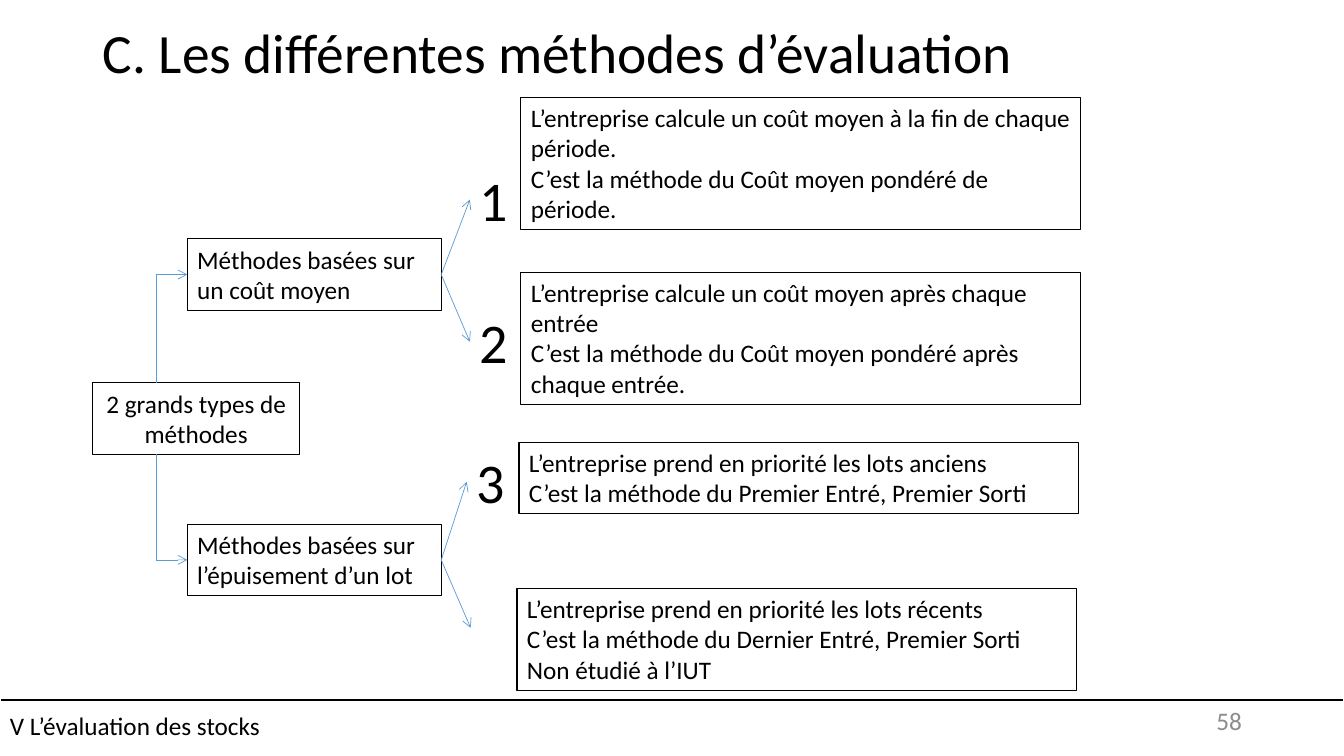
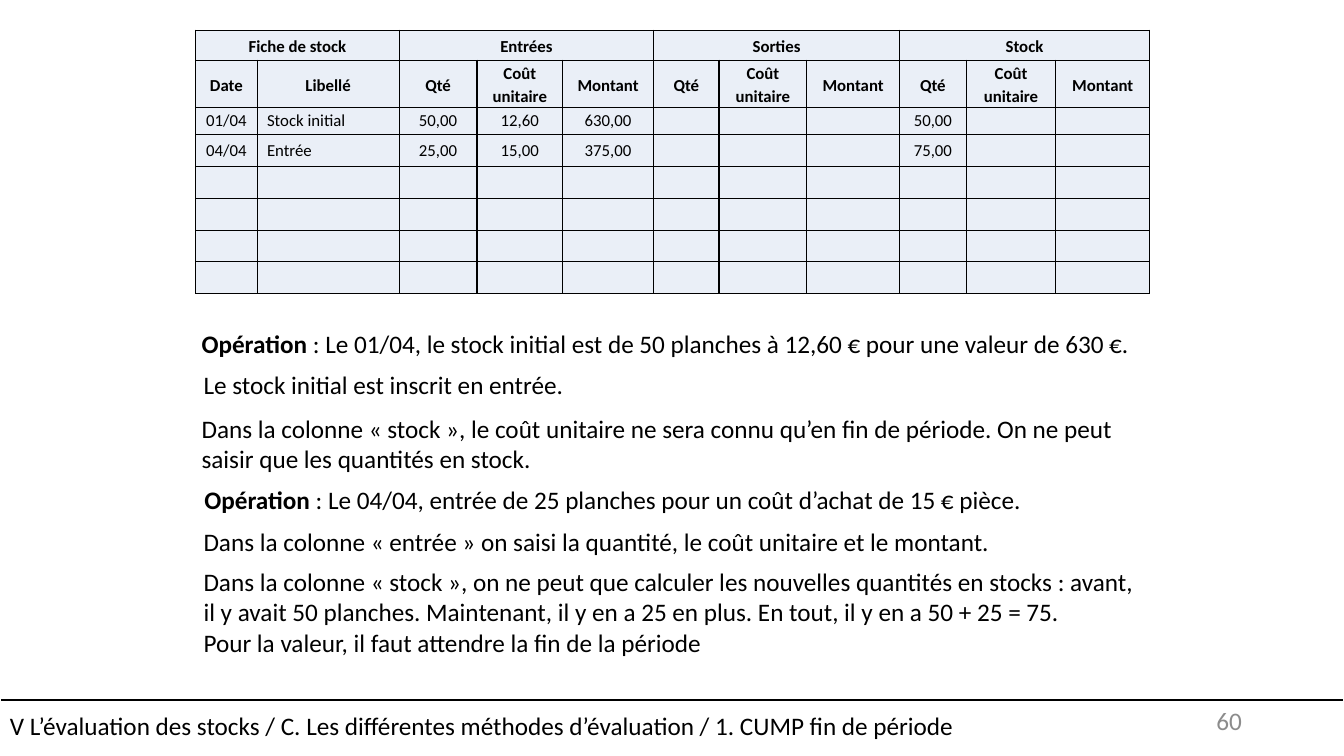
import pptx
import pptx.dml.color
import pptx.enum.shapes
import pptx.enum.text
import pptx.oxml.ns
import pptx.util
from lxml import etree

Cm = pptx.util.Cm
Pt = pptx.util.Pt
qn = pptx.oxml.ns.qn
ALIGN = pptx.enum.text.PP_ALIGN
ANCHOR = pptx.enum.text.MSO_ANCHOR
CONNECTOR = pptx.enum.shapes.MSO_CONNECTOR

FONT = "Calibri"
BLACK, WHITE, GREY = "000000", "FFFFFF", "8C8C8C"
ARROW_BLUE, CELL_BLUE = "5B9BD5", "EAEFF7"
PAGE_WIDTH, PAGE_HEIGHT = 33.87, 19.05

TYPE_WIDTH, TWO_LINES = 6.4, 1.8
TYPE_LEFT = 4.72
ROOT_TOP, BRANCH_X = 9.65, 3.94

# top of the type box, its text, then the ends of its two arrows
TYPES = [
    (6.02, "Méthodes basées sur un coût moyen", [(11.84, 5.03), (11.84, 8.61)]),
    (13.21, "Méthodes basées sur l’épuisement d’un lot", [(11.76, 12.14), (11.86, 15.82)]),
]
# left, top, height, paragraphs
METHODS = [
    (13.13, 2.46, 3.33, ["L’entreprise calcule un coût moyen à la fin de chaque période.",
                         "C’est la méthode du Coût moyen pondéré de période."]),
    (13.13, 6.86, 3.33, ["L’entreprise calcule un coût moyen après chaque entrée",
                         "C’est la méthode du Coût moyen pondéré après chaque entrée."]),
    (13.08, 11.15, TWO_LINES, ["L’entreprise prend en priorité les lots anciens",
                               "C’est la méthode du Premier Entré, Premier Sorti"]),
    (13.03, 14.83, 2.57, ["L’entreprise prend en priorité les lots récents",
                          "C’est la méthode du Dernier Entré, Premier Sorti",
                          "Non étudié à l’IUT"]),
]
NUMBERS = [("1", 11.84, 4.04), ("2", 11.84, 7.62), ("3", 11.76, 11.15)]

COLUMN_WIDTHS = [1.55, 3.58, 1.96, 2.16, 2.29, 1.65, 2.21, 2.34, 1.68, 2.26, 2.36]
ROW_HEIGHTS = [0.76, 1.19, 0.69] + [0.8] * 5
HEADER_ROWS = 2
GROUPS = [("Fiche de stock", 2), ("Entrées", 3), ("Sorties", 3), ("Stock", 3)]
STOCK_ROWS = [
    ["Date", "Libellé"] + ["Qté", "Coût unitaire", "Montant"] * 3,
    ["01/04", "Stock initial", "50,00", "12,60", "630,00", "", "", "", "50,00"],
    ["04/04", "Entrée", "25,00", "15,00", "375,00", "", "", "", "75,00"],
]
LABEL_COLUMN = 1

# left, top, height, bold opening, paragraphs
EXPLANATIONS = [
    (4.83, 8.15, 1.02, "Opération",
     [" : Le 01/04, le stock initial est de 50 planches à 12,60 € pour une valeur de 630 €."]),
    (4.88, 9.19, 1.02, "", ["Le stock initial est inscrit en entrée."]),
    (4.83, 10.29, 1.8, "",
     ["Dans la colonne « stock », le coût unitaire ne sera connu qu’en fin de période. "
      "On ne peut saisir que les quantités en stock."]),
    (4.9, 12.09, 1.02, "Opération",
     [" : Le 04/04, entrée de 25 planches pour un coût d’achat de 15 € pièce."]),
    (4.88, 13.13, 1.02, "",
     ["Dans la colonne « entrée » on saisi la quantité, le coût unitaire et le montant."]),
    (4.88, 14.15, 2.57, "",
     ["Dans la colonne « stock », on ne peut que calculer les nouvelles quantités en stocks : "
      "avant, il y avait 50 planches. Maintenant, il y en a 25 en plus. "
      "En tout, il y en a 50 + 25 = 75.",
      "Pour la valeur, il faut attendre la fin de la période"]),
]


def rgb(value):
    return pptx.dml.color.RGBColor.from_string(value)


def style_paragraph(para, size, color=BLACK, align=ALIGN.LEFT, bold=None, spacing=None):
    para.alignment = align
    if spacing:
        para.line_spacing = spacing
    para.font.name = FONT
    para.font.size = Pt(size)
    para.font.bold = bold
    para.font.color.rgb = rgb(color)


def write_text(frame, paragraphs, size=18, anchor=ANCHOR.TOP, lead="", **style):
    """Fill a frame with paragraphs; lead is a bold opening of the first one."""
    frame.word_wrap = True
    frame.vertical_anchor = anchor
    for index, text in enumerate(paragraphs):
        para = frame.add_paragraph() if index else frame.paragraphs[0]
        if lead and index == 0:
            span = para.add_run()
            span.text = lead
            span.font.bold = True
        para.add_run().text = text
        style_paragraph(para, size, **style)


def add_text(page, left, top, width, height, paragraphs, **style):
    box = page.shapes.add_textbox(Cm(left), Cm(top), Cm(width), Cm(height))
    write_text(box.text_frame, paragraphs, **style)


def add_framed_text(page, left, top, width, height, paragraphs,
                    line_color=BLACK, line_width=0.75, **style):
    box = page.shapes.add_shape(pptx.enum.shapes.MSO_SHAPE.RECTANGLE,
                                Cm(left), Cm(top), Cm(width), Cm(height))
    box.shadow.inherit = False
    box.fill.background()
    box.line.color.rgb = rgb(line_color)
    box.line.width = Pt(line_width)
    write_text(box.text_frame, paragraphs, **style)


def add_line(page, start, end, color, width, arrow=False, kind=CONNECTOR.STRAIGHT):
    line = page.shapes.add_connector(kind, *(Cm(value) for value in start + end))
    line.line.color.rgb = rgb(color)
    line.line.width = Pt(width)
    properties = line._element.spPr
    if arrow:
        etree.SubElement(properties.find(qn("a:ln")), qn("a:tailEnd"), type="arrow")
    etree.SubElement(properties, qn("a:effectLst"))
    return line


def add_elbow_arrow(page, start, end):
    """Arrow that runs vertically from start, then turns right to end."""
    run, rise = end[0] - start[0], abs(end[1] - start[1])
    upward = end[1] < start[1]
    left = (start[0] + end[0] - rise) / 2
    top = (start[1] + end[1] - run) / 2
    bottom = top + run
    first, last = (bottom, top) if upward else (top, bottom)
    line = add_line(page, (left + rise, first), (left, last), ARROW_BLUE, 0.5,
                    arrow=True, kind=CONNECTOR.ELBOW)
    properties = line._element.spPr
    properties.find(qn("a:xfrm")).set("rot", str((90 if upward else 270) * 60000))
    properties.find(qn("a:prstGeom")).set("prst", "bentConnector2")


def add_footer(page, text, number):
    add_line(page, (0, 17.65), (PAGE_WIDTH, 17.65), BLACK, 1.5)
    add_framed_text(page, 0, 17.53, PAGE_WIDTH, 1.52, [text], line_color=WHITE,
                    line_width=1, anchor=ANCHOR.MIDDLE)
    add_text(page, 23.93, 17.65, 7.62, 1.02, [number], anchor=ANCHOR.MIDDLE,
             color=GREY, align=ALIGN.RIGHT)


def add_cell_borders(cell):
    properties = cell._tc.get_or_add_tcPr()
    for side in ("a:lnL", "a:lnR", "a:lnT", "a:lnB"):
        border = etree.SubElement(properties, qn(side), w=str(Pt(1)))
        fill = etree.SubElement(border, qn("a:solidFill"))
        etree.SubElement(fill, qn("a:srgbClr"), val=BLACK)


def format_cell(cell, text, header, label):
    add_cell_borders(cell)
    cell.fill.solid()
    cell.fill.fore_color.rgb = rgb(CELL_BLUE)
    cell.vertical_anchor = ANCHOR.MIDDLE
    cell.margin_left = Cm(0.25 if label else 0.13)
    cell.margin_right = Cm(0.13)
    cell.margin_top = cell.margin_bottom = 0
    para = cell.text_frame.paragraphs[0]
    if text:
        para.add_run().text = text
    style_paragraph(para, 12, align=ALIGN.LEFT if label else ALIGN.CENTER,
                    bold=header, spacing=1.15 if header else None)
    if not text:
        etree.SubElement(para._p, qn("a:endParaRPr"), sz="1200")


def add_stock_table(page):
    frame = page.shapes.add_table(len(ROW_HEIGHTS), len(COLUMN_WIDTHS), Cm(4.93), Cm(0.76),
                                  Cm(sum(COLUMN_WIDTHS)), Cm(sum(ROW_HEIGHTS)))
    table = frame.table
    for column, width in zip(table.columns, COLUMN_WIDTHS):
        column.width = Cm(width)
    for row, height in zip(table.rows, ROW_HEIGHTS):
        row.height = Cm(height)

    group_row = []
    for title, span in GROUPS:
        first = len(group_row)
        table.cell(0, first).merge(table.cell(0, first + span - 1))
        group_row += [title] + [""] * (span - 1)

    texts = [group_row] + STOCK_ROWS
    for r in range(len(ROW_HEIGHTS)):
        row_texts = texts[r] if r < len(texts) else []
        for c in range(len(COLUMN_WIDTHS)):
            text = row_texts[c] if c < len(row_texts) else ""
            header = r < HEADER_ROWS
            format_cell(table.cell(r, c), text, header, c == LABEL_COLUMN and not header)


def add_page(deck):
    return deck.slides.add_slide(deck.slide_layouts[6])


def build_methods_page(deck):
    page = add_page(deck)
    add_text(page, 2.34, 0.51, 29.21, 1.78, ["C. Les différentes méthodes d’évaluation"],
             size=39.6, anchor=ANCHOR.MIDDLE, spacing=0.9)
    add_footer(page, "V L’évaluation des stocks", "58")
    add_framed_text(page, 2.34, ROOT_TOP, 5.21, TWO_LINES, ["2 grands types de méthodes"],
                    align=ALIGN.CENTER)
    for left, top, height, paragraphs in METHODS:
        add_framed_text(page, left, top, 14.1, height, paragraphs)
    for number, left, top in NUMBERS:
        add_text(page, left, top, 1.12, 1.96, [number], size=40)
    for top, text, arrow_ends in TYPES:
        add_framed_text(page, TYPE_LEFT, top, TYPE_WIDTH, TWO_LINES, [text])
        middle = top + TWO_LINES / 2
        branch_y = ROOT_TOP if top < ROOT_TOP else ROOT_TOP + TWO_LINES
        add_elbow_arrow(page, (BRANCH_X, branch_y), (TYPE_LEFT, middle))
        for end in arrow_ends:
            add_line(page, (TYPE_LEFT + TYPE_WIDTH, middle), end, ARROW_BLUE, 0.5, arrow=True)


def build_stock_page(deck):
    page = add_page(deck)
    add_stock_table(page)
    for left, top, height, lead, paragraphs in EXPLANATIONS:
        add_text(page, left, top, 24, height, paragraphs, lead=lead)
    add_footer(page, "V L’évaluation des stocks / C. Les différentes méthodes d’évaluation"
                     " / 1. CUMP fin de période", "60")


def main():
    deck = pptx.Presentation()
    deck.slide_width, deck.slide_height = Cm(PAGE_WIDTH), Cm(PAGE_HEIGHT)
    build_methods_page(deck)
    build_stock_page(deck)
    deck.save("out.pptx")


if __name__ == "__main__":
    main()
